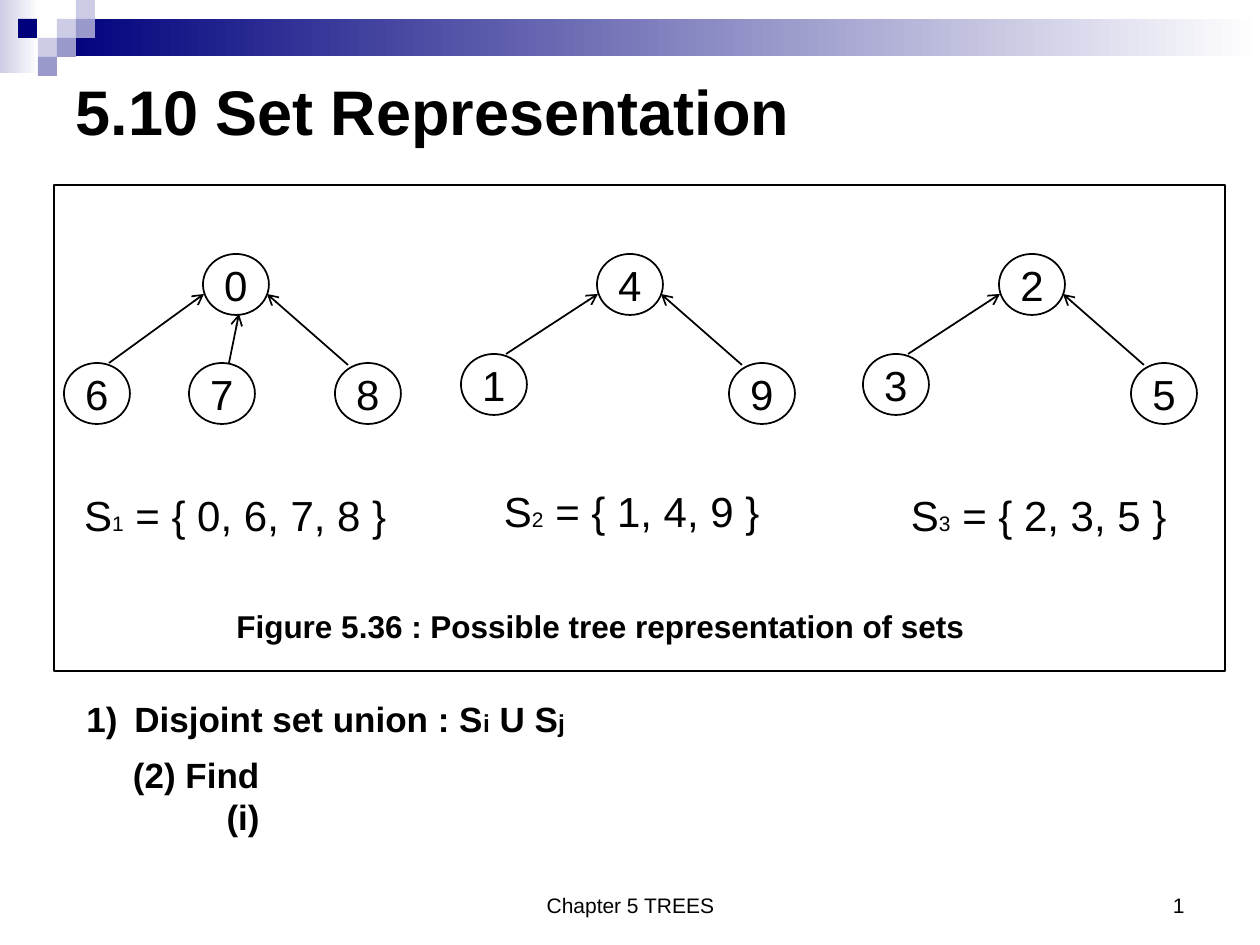
from dataclasses import dataclass

from lxml import etree
from pptx import Presentation
from pptx.dml.color import RGBColor
from pptx.enum.shapes import MSO_CONNECTOR, MSO_SHAPE
from pptx.enum.text import MSO_ANCHOR, MSO_AUTO_SIZE, PP_ALIGN
from pptx.oxml.ns import qn
from pptx.util import Emu, Pt

LEFT, CENTER, RIGHT = PP_ALIGN.LEFT, PP_ALIGN.CENTER, PP_ALIGN.RIGHT
TOP, MIDDLE, BOTTOM = MSO_ANCHOR.TOP, MSO_ANCHOR.MIDDLE, MSO_ANCHOR.BOTTOM
RECTANGLE, OVAL = MSO_SHAPE.RECTANGLE, MSO_SHAPE.OVAL
STRAIGHT = MSO_CONNECTOR.STRAIGHT
NO_FIT, GROW = MSO_AUTO_SIZE.NONE, MSO_AUTO_SIZE.SHAPE_TO_FIT_TEXT
PX = 914400 / 126


@dataclass(frozen=True)
class Theme:
    """Colours, type sizes and line widths of the slide."""
    font: str = "Arial"
    ink: str = "000000"
    paper: str = "FFFFFF"
    navy: str = "00007D"
    lavender: str = "CCCCE6"
    violet: str = "9999CC"
    title: int = 36
    body: int = 24
    item: int = 20
    caption: int = 18
    index: int = 14
    small: int = 12
    line: float = 1
    frame: float = 0.75


THEME = Theme()
CELL = 19
NODE = (66, 61)
CHECKERS = [
    (57, 1, THEME.lavender), (76, 0, THEME.lavender), (76, 1, THEME.violet),
    (38, 2, THEME.lavender), (18, 1, THEME.navy), (57, 2, THEME.violet),
    (38, 3, THEME.violet),
]
LEFT_PORTS = ((1, 40), (45, 0))
MIDDLE_PORTS = ((36, 60), (40, 0))
RIGHT_PORTS = ((64, 40), (13, 2))
PAIR = [((-136, 100), LEFT_PORTS), ((132, 109), RIGHT_PORTS)]
TRIPLE = [((-139, 109), LEFT_PORTS), ((-14, 109), MIDDLE_PORTS), ((132, 109), RIGHT_PORTS)]
TREES = [
    ((203, 254), "0", "678", TRIPLE),
    ((597, 254), "4", "19", PAIR),
    ((999, 254), "2", "35", PAIR),
]
SETS = [
    ((71, 483, 328, 63), "1", " = { 0, 6, 7, 8 }"),
    ((491, 479, 281, 63), "2", " = { 1, 4, 9 }"),
    ((898, 483, 281, 63), "3", " = { 2, 3, 5 }"),
]


def px(*lengths):
    """Turn pixel lengths into EMU."""
    return [Emu(round(length * PX)) for length in lengths]


def shift(point, offset):
    """Move a point by an offset."""
    return point[0] + offset[0], point[1] + offset[1]


def write(box, spans, align=LEFT, anchor=TOP, bold=False, wrap=True, fit=NO_FIT):
    """Write (text, size) spans as one paragraph and return it."""
    frame = box.text_frame
    frame.word_wrap, frame.auto_size, frame.vertical_anchor = wrap, fit, anchor
    para = frame.paragraphs[0]
    para.alignment = align
    for text, size in spans:
        span = para.add_run()
        span.text = text
        span.font.name, span.font.size, span.font.bold = THEME.font, Pt(size), bold
        span.font.color.rgb = RGBColor.from_string(THEME.ink)
    return para


def add_text(page, area, spans, **style):
    """Add a text box and return its paragraph."""
    return write(page.shapes.add_textbox(*px(*area)), spans, **style)


def add_box(page, kind, area, fill=None, line=None):
    """Add a preset shape with an optional solid fill and outline."""
    box = page.shapes.add_shape(kind, *px(*area))
    box.shadow.inherit = False
    if fill:
        box.fill.solid()
        box.fill.fore_color.rgb = RGBColor.from_string(fill)
    else:
        box.fill.background()
    if line:
        box.line.width = Pt(line)
        box.line.color.rgb = RGBColor.from_string(THEME.ink)
    else:
        box.line.fill.background()
    return box


def add_fade(page, area, color):
    """Add a band that fades from a colour at the left to the paper colour."""
    fill = add_box(page, RECTANGLE, area).fill
    fill.gradient()
    fill.gradient_angle = 180
    for stop, shade in zip(fill.gradient_stops, (THEME.paper, color)):
        stop.color.rgb = RGBColor.from_string(shade)


def add_node(page, corner, label):
    """Add a labelled tree node."""
    node = add_box(page, OVAL, (*corner, *NODE), THEME.paper, THEME.line)
    write(node, [(label, THEME.body)], align=CENTER, anchor=MIDDLE, wrap=False)


def add_link(page, parent, child):
    """Add a line with an open arrowhead at the parent."""
    link = page.shapes.add_connector(STRAIGHT, *px(*parent, *child))
    link.line.width = Pt(THEME.line)
    link.line.color.rgb = RGBColor.from_string(THEME.ink)
    etree.SubElement(link.line._get_or_add_ln(), qn("a:headEnd"), type="arrow")
    etree.SubElement(link._element.spPr, qn("a:effectLst"))


def add_tree(page, root, label, leaves, branches):
    """Add a root node with its children and links."""
    add_node(page, root, label)
    for leaf, (offset, (root_port, leaf_port)) in zip(leaves, branches):
        corner = shift(root, offset)
        add_node(page, corner, leaf)
        add_link(page, shift(root, root_port), shift(corner, leaf_port))


def number(para, indent):
    """Give a paragraph a hanging automatic number."""
    props = para._p.get_or_add_pPr()
    width = px(indent)[0]
    props.set("marL", str(width))
    props.set("indent", str(-width))
    color = etree.SubElement(props, qn("a:buClr"))
    etree.SubElement(color, qn("a:srgbClr"), val=THEME.ink)
    etree.SubElement(props, qn("a:buAutoNum"), type="arabicParenR")


def add_banner(page):
    """Add the fading bands and the checker squares."""
    add_fade(page, (0, 0, 39, 73), THEME.lavender)
    add_fade(page, (57, CELL, 1203, 37), THEME.navy)
    for left, row, color in CHECKERS:
        add_box(page, RECTANGLE, (left, row * CELL, CELL, CELL), color)


def add_title(page, text):
    """Place and format the title placeholder."""
    title = page.shapes.title
    title.left, title.top, title.width, title.height = px(63, 55, 1197, 110)
    write(title, [(text, THEME.title)], anchor=MIDDLE, bold=True)


def add_figure(page):
    """Add the framed trees, their sets and the caption."""
    for tree in TREES:
        add_tree(page, *tree)
    for area, index, members in SETS:
        spans = [("S", THEME.body), (index, THEME.small), (members, THEME.body)]
        add_text(page, area, spans, align=RIGHT, wrap=False, fit=GROW)
    add_box(page, RECTANGLE, (54, 185, 1171, 486), line=THEME.frame)
    caption = "Figure 5.36 : Possible tree representation of sets"
    add_text(page, (224, 601, 753, 50), [(caption, THEME.caption)],
             align=RIGHT, bold=True, wrap=False, fit=GROW)


def add_operations(page):
    """Add the two set operations."""
    union = [("Disjoint set union : S", THEME.item), ("i", THEME.index),
             (" U S", THEME.item), ("j", THEME.index)]
    number(add_text(page, (74, 691, 645, 55), union, bold=True, fit=GROW), 48)
    add_text(page, (78, 747, 194, 55), [("(2) Find (i)", THEME.item)],
             align=RIGHT, bold=True, wrap=False, fit=GROW)


def add_footer(page):
    """Add the chapter name and the page number."""
    add_text(page, (431, 861, 399, 63), [("Chapter 5 TREES", THEME.small)],
             align=CENTER, anchor=BOTTOM)
    add_text(page, (903, 861, 294, 63), [("1", THEME.small)], align=RIGHT, anchor=BOTTOM)


def main():
    """Build and save the slide."""
    deck = Presentation()
    deck.slide_width, deck.slide_height = px(1260, 945)
    page = deck.slides.add_slide(deck.slide_layouts[5])
    add_banner(page)
    add_title(page, "5.10 Set Representation")
    add_figure(page)
    add_operations(page)
    add_footer(page)
    deck.save("out.pptx")


if __name__ == "__main__":
    main()
